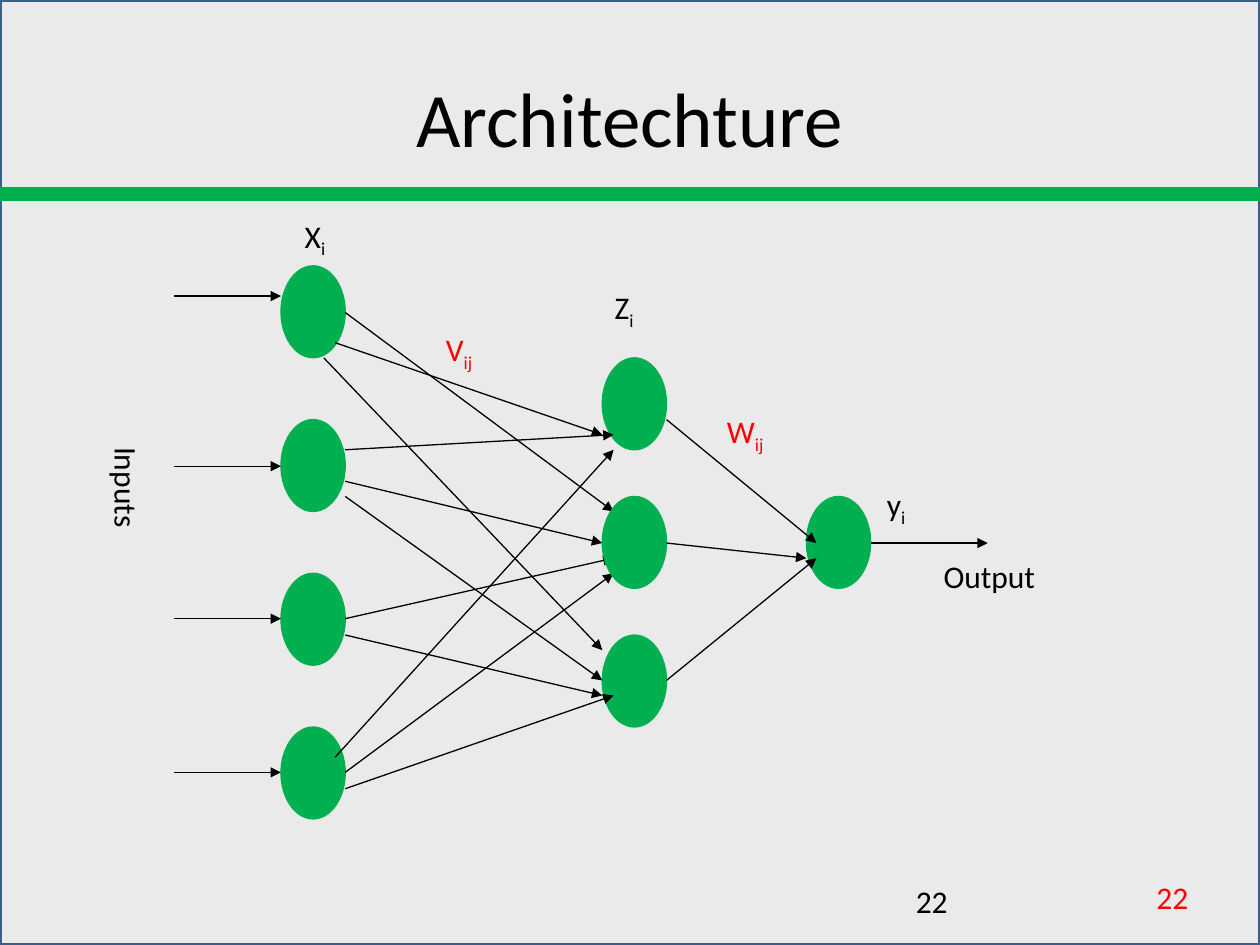
from lxml import etree
from pptx import Presentation
from pptx import util as u
from pptx.dml.color import RGBColor
from pptx.enum import shapes, text
from pptx.oxml.ns import qn

COLORS = {"bg": "EAEAEA", "frame": "3A5F8C", "green": "00B050",
          "black": "000000", "red": "FF0000"}
NODE_W, NODE_H = 0.51, 0.73
INPUT_X, HIDDEN_X, OUTPUT_X = 2.23, 4.78, 6.4
INPUT_YS = [2.11 + 1.22 * i for i in range(4)]
HIDDEN_YS = [2.84 + 1.1 * i for i in range(3)]

BACK_LINKS = [
    (2.74, 2.48, 4.87, 4.06), (2.74, 3.82, 4.78, 4.31),
    (2.74, 4.91, 4.87, 4.43), (2.74, 6.13, 4.87, 4.55),
]
FRONT_LINKS = [
    (2.66, 2.72, 4.78, 3.45), (2.57, 2.84, 4.78, 5.16),
    (2.74, 3.57, 4.87, 3.45), (2.74, 3.94, 4.78, 5.4),
    (2.74, 5.04, 4.78, 5.52), (2.66, 6.01, 4.87, 3.57),
    (2.74, 6.26, 4.87, 5.52),
]
OUTPUT_LINKS = [
    (5.29, 3.33, 6.48, 4.31), (5.29, 4.31, 6.4, 4.43),
    (5.29, 5.4, 6.48, 4.43), (6.91, 4.31, 7.84, 4.31),
]
INPUT_LINKS = [(1.38, y, INPUT_X, y) for y in (2.35, 3.7, 4.91, 6.13)]


def rgb(name):
    return RGBColor.from_string(COLORS[name])


def add_shape(s, kind, box, fill, line, width):
    sp = s.shapes.add_shape(kind, *map(u.Inches, box))
    sp.shadow.inherit = False
    sp.fill.solid()
    sp.fill.fore_color.rgb = rgb(fill)
    sp.line.color.rgb = rgb(line)
    sp.line.width = u.Pt(width)


def add_node(s, x, y):
    add_shape(s, shapes.MSO_SHAPE.OVAL, (x, y, NODE_W, NODE_H),
              "green", "green", 0.75)


def add_arrow(s, ends):
    c = s.shapes.add_connector(shapes.MSO_CONNECTOR.STRAIGHT,
                               *map(u.Inches, ends))
    c.line.color.rgb = rgb("black")
    c.line.width = u.Pt(0.75)
    ln = c.line._get_or_add_ln()
    etree.SubElement(ln, qn("a:tailEnd"), type="triangle")
    etree.SubElement(c.element.spPr, qn("a:effectLst"))


def add_text(s, box, base, sub="", color="black", size=18):
    sp = s.shapes.add_textbox(*map(u.Inches, box))
    tf = sp.text_frame
    tf.word_wrap = True
    p = tf.paragraphs[0]
    for part in filter(None, (base, sub)):
        r = p.add_run()
        r.text = part
        r.font.name = "Calibri"
        r.font.size = u.Pt(size)
        r.font.color.rgb = rgb(color)
        if part == sub:
            r.font._element.set("baseline", "-25000")
    return sp


def add_frame(s):
    rect = shapes.MSO_SHAPE.RECTANGLE
    add_shape(s, rect, (0, 0, 10, 7.5), "bg", "frame", 2)
    add_shape(s, rect, (0, 1.5, 10, 0.08), "green", "green", 2)
    add_text(s, (9.08, 6.92, 0.67, 0.4), "22", color="red")
    title = add_text(s, (0.5, 0.3, 9, 1.25), "Architechture", size=44)
    title.text_frame.vertical_anchor = text.MSO_ANCHOR.MIDDLE
    title.text_frame.paragraphs[0].alignment = text.PP_ALIGN.CENTER
    add_text(s, (7.17, 6.95, 2.33, 0.4), "22")


def add_network(s):
    for y in INPUT_YS:
        add_node(s, INPUT_X, y)
    for ends in BACK_LINKS:
        add_arrow(s, ends)
    for y in HIDDEN_YS:
        add_node(s, HIDDEN_X, y)
    for ends in FRONT_LINKS:
        add_arrow(s, ends)
    add_node(s, OUTPUT_X, HIDDEN_YS[1])
    for ends in OUTPUT_LINKS + INPUT_LINKS:
        add_arrow(s, ends)


def add_labels(s):
    inputs = add_text(s, (0.76, 3.45, 0.45, 2.44), "Inputs")
    inputs.element.txBody.bodyPr.set("vert", "eaVert")
    add_text(s, (7.39, 4.37, 1.36, 0.4), "Output")
    add_text(s, (3.44, 2.57, 0.59, 0.4), "V", "ij", "red")
    add_text(s, (5.67, 3.22, 0.59, 0.4), "W", "ij", "red")
    add_text(s, (4.78, 2.24, 0.51, 0.59), "Z", "i")
    add_text(s, (6.94, 3.8, 0.76, 0.4), "y", "i")
    add_text(s, (2.32, 1.67, 0.51, 0.4), "X", "i")


def main():
    prs = Presentation()
    prs.slide_width, prs.slide_height = u.Inches(10), u.Inches(7.5)
    s = prs.slides.add_slide(prs.slide_layouts[6])
    add_frame(s)
    add_network(s)
    add_labels(s)
    prs.save("out.pptx")


main()
